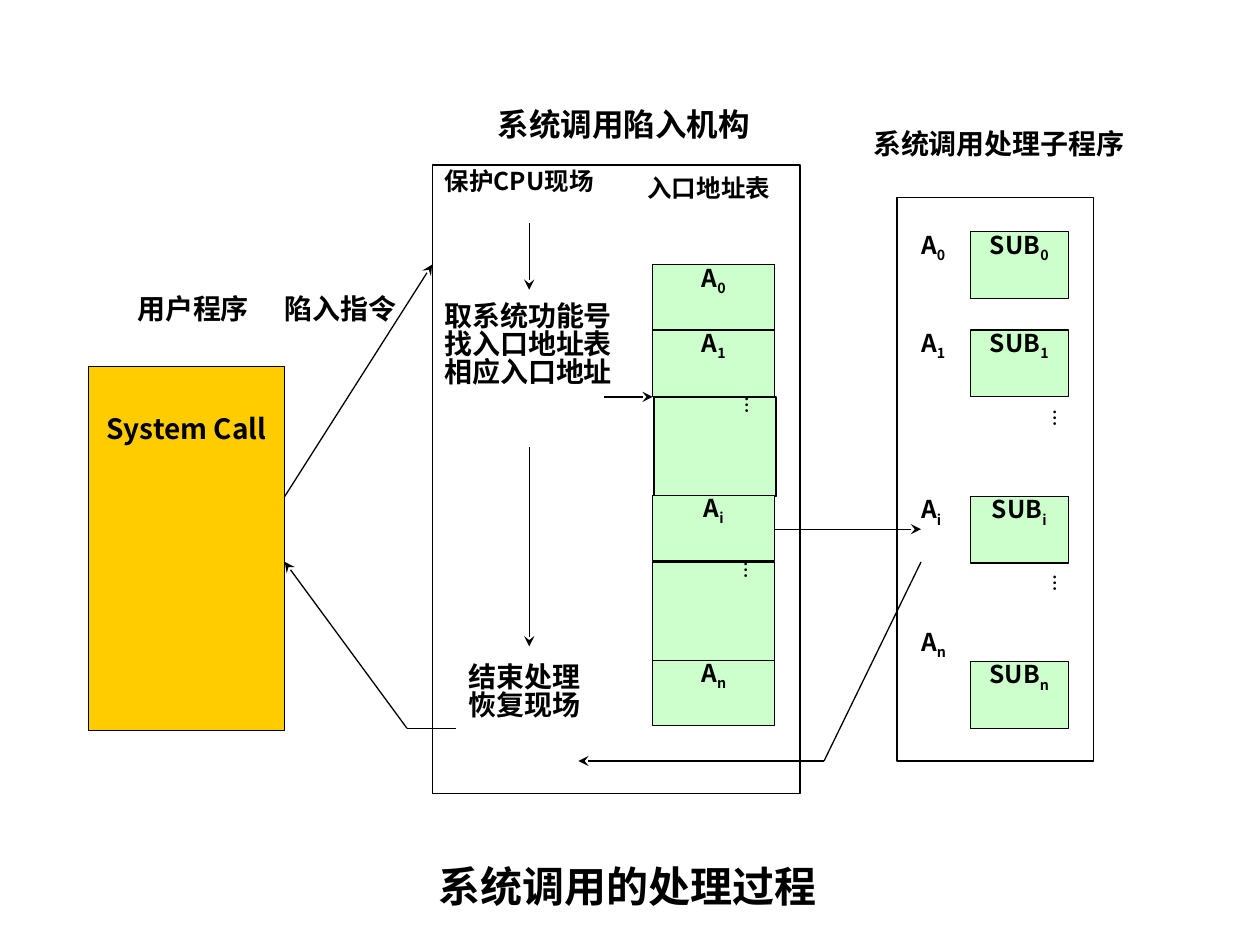
from lxml import etree
from pptx import Presentation
from pptx.dml.color import RGBColor
from pptx.enum.shapes import MSO_CONNECTOR, MSO_SHAPE
from pptx.enum.text import MSO_ANCHOR, PP_ALIGN
from pptx.oxml.ns import qn
from pptx.util import Inches, Pt

BLACK = RGBColor(0x00, 0x00, 0x00)
ORANGE = RGBColor(0xFF, 0xCC, 0x00)
GREEN = RGBColor(0xCC, 0xFF, 0xCC)
FONT = "Noto Sans CJK SC"
CENTER, JUSTIFY = PP_ALIGN.CENTER, PP_ALIGN.JUSTIFY
TOP, BOTTOM = MSO_ANCHOR.TOP, MSO_ANCHOR.BOTTOM
RECT, STRAIGHT = MSO_SHAPE.RECTANGLE, MSO_CONNECTOR.STRAIGHT
NONE = (0, 0, 0, 0)
PADDED = (0.1, 0.05, 0.1, 0.05)


def write(sp, lines, size, align=JUSTIFY, insets=NONE, sub=None,
          font=FONT, anchor=TOP, spacing=0.84, vertical=False):
    tf = sp.text_frame
    tf.word_wrap = True
    tf.vertical_anchor = anchor
    tf.margin_left, tf.margin_top, tf.margin_right, tf.margin_bottom = [
        Inches(v) for v in insets]
    if vertical:
        tf._txBody.bodyPr.set("vert", "eaVert")
    for i, line in enumerate(lines):
        p = tf.paragraphs[0] if i == 0 else tf.add_paragraph()
        p.alignment = align
        p.line_spacing = spacing
        for text in [line, sub] if sub else [line]:
            r = p.add_run()
            r.text = text
            r.font.size = Pt(size)
            r.font.bold = True
            r.font.name = font
            r.font.color.rgb = BLACK
            rPr = r._r.get_or_add_rPr()
            etree.SubElement(rPr, qn("a:ea")).set("typeface", FONT)
            if text == sub:
                rPr.set("baseline", "-25000")


def add_box(x, y, w, h, fill=None):
    sp = s.shapes.add_shape(RECT, Inches(x), Inches(y), Inches(w), Inches(h))
    sp.shadow.inherit = False
    sp.line.color.rgb = BLACK
    sp.line.width = Pt(0.75)
    if fill:
        sp.fill.solid()
        sp.fill.fore_color.rgb = fill
    else:
        sp.fill.background()
    return sp


prs = Presentation()
prs.slide_width = Inches(10)
prs.slide_height = Inches(7.5)
s = prs.slides.add_slide(prs.slide_layouts[5])

title = s.shapes.title
title.left, title.top = Inches(1.3), Inches(6.82)
title.width, title.height = Inches(7.36), Inches(0.46)
write(title, ["系统调用的处理过程"], 24, CENTER, PADDED,
      font="Arial", anchor=BOTTOM, spacing=1.0)

add_box(3.43, 1.31, 2.92, 4.99)
add_box(7.12, 1.57, 1.56, 4.47)
user_program = add_box(0.7, 2.91, 1.56, 2.89, ORANGE)
write(user_program, ["System Call"], 16, CENTER, (0.1, 0.4, 0.1, 0.05))

ENTRY_TABLE = [
    (5.18, 2.1, 0.53, "0"),
    (5.18, 2.62, 0.53, "1"),
    (5.19, 3.15, 0.79, None),
    (5.18, 3.93, 0.52, "i"),
    (5.18, 4.46, 0.79, None),
    (5.18, 5.24, 0.52, "n"),
]
for x, y, h, index in ENTRY_TABLE:
    cell = add_box(x, y, 0.97, h, GREEN)
    if index:
        write(cell, ["A"], 14, CENTER, sub=index)
    else:
        write(cell, ["…"], 10, CENTER, (0, 0, 0.17, 0), vertical=True)

SUBROUTINES = [
    ("0", 1.84, 1.84),
    ("1", 2.62, 2.62),
    ("i", 3.94, 3.94),
    ("n", 5.25, 4.99),
]
for index, box_y, label_y in SUBROUTINES:
    write(add_box(7.7, box_y, 0.78, 0.53, GREEN), ["SUB"], 14, CENTER, sub=index)
    label = s.shapes.add_textbox(
        Inches(7.31), Inches(label_y), Inches(0.39), Inches(0.53))
    write(label, ["A"], 14, sub=index)

for y in (3.15, 4.46):
    dots = s.shapes.add_textbox(Inches(7.7), Inches(y), Inches(0.78), Inches(0.79))
    write(dots, ["…"], 10, CENTER, (0.05, 0.1, 0.05, 0.1), vertical=True)

LABELS = [
    (1.09, 2.36, 0.97, 0.52, ["用户程序"], 16, NONE),
    (2.26, 2.36, 0.97, 0.52, ["陷入指令"], 16, NONE),
    (3.95, 0.88, 2.08, 0.3, ["系统调用陷入机构"], 18, NONE),
    (6.93, 1.05, 2.11, 0.53, ["系统调用处理子程序"], 16, NONE),
    (3.43, 1.31, 1.56, 0.84, ["保护CPU现场"], 14, PADDED),
    (5.04, 1.36, 1.25, 0.49, ["入口地址表"], 14, PADDED),
    (3.43, 2.36, 1.56, 1.19,
     ["取系统功能号", "找入口地址表", "相应入口地址"], 16, PADDED),
    (3.62, 5.23, 1.17, 0.89, ["结束处理", "恢复现场"], 16, PADDED),
]
for x, y, w, h, lines, size, insets in LABELS:
    label = s.shapes.add_textbox(Inches(x), Inches(y), Inches(w), Inches(h))
    write(label, lines, size, insets=insets)

CONNECTORS = [
    (4.2, 1.77, 4.2, 2.3, True),
    (4.2, 3.55, 4.2, 5.13, True),
    (4.79, 3.15, 5.18, 3.15, True),
    (3.62, 5.78, 3.23, 5.78, False),
    (3.23, 5.78, 2.26, 4.46, True),
    (2.26, 3.94, 3.43, 2.1, True),
    (6.15, 4.2, 7.31, 4.2, True),
    (7.31, 4.46, 6.54, 6.04, False),
    (6.54, 6.04, 4.59, 6.04, True),
]
for x1, y1, x2, y2, arrow in CONNECTORS:
    line = s.shapes.add_connector(
        STRAIGHT, Inches(x1), Inches(y1), Inches(x2), Inches(y2))
    line.line.color.rgb = BLACK
    line.line.width = Pt(0.75)
    if arrow:
        etree.SubElement(line.line._get_or_add_ln(), qn("a:tailEnd")).set(
            "type", "stealth")
    etree.SubElement(line._element.spPr, qn("a:effectLst"))

prs.save("out.pptx")
